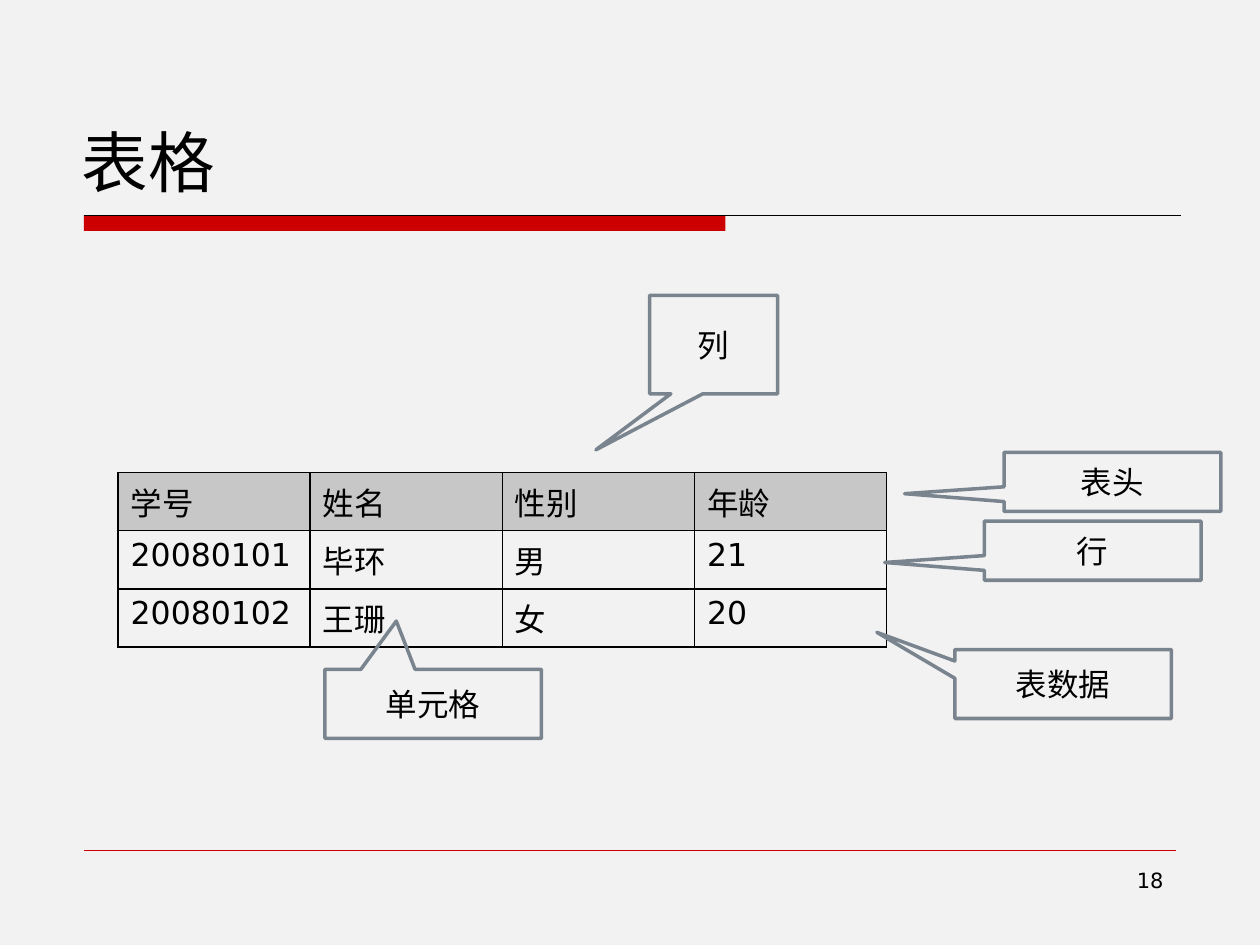
from typing import NamedTuple

from lxml import etree
from pptx import Presentation
from pptx.dml.color import RGBColor
from pptx.enum.shapes import MSO_CONNECTOR, MSO_SHAPE
from pptx.enum.text import MSO_ANCHOR, PP_ALIGN
from pptx.oxml.ns import qn
from pptx.util import Pt

LINE = MSO_CONNECTOR.STRAIGHT
RECT = MSO_SHAPE.RECTANGLE
CALLOUT = MSO_SHAPE.RECTANGULAR_CALLOUT
BOTTOM, MIDDLE = MSO_ANCHOR.BOTTOM, MSO_ANCHOR.MIDDLE
LEFT, CENTER, RIGHT = PP_ALIGN.LEFT, PP_ALIGN.CENTER, PP_ALIGN.RIGHT

FONT = "DejaVu Sans"
COLORS = {
    "background": "F2F2F2",
    "text": "000000",
    "accent": "CC0000",
    "header": "C7C7C7",
    "callout": "79848F",
}
MARGIN = 48
COLUMN_WIDTH, ROW_HEIGHT = 109.8, 29.3
ROWS = [
    ["学号", "姓名", "性别", "年龄"],
    ["20080101", "毕环", "男", "21"],
    ["20080102", "王珊", "女", "20"],
]


class Callout(NamedTuple):
    text: str
    left: float
    top: float
    width: float
    height: float
    tip_x: float
    tip_y: float


CALLOUTS = [
    Callout("表头", 573.8, 258.5, 123.8, 33.8, -0.96, 0.2),
    Callout("表数据", 545.6, 371.2, 123.8, 39.4, -0.86, -0.75),
    Callout("列", 371.2, 168.8, 73.1, 56.2, -0.92, 1.07),
    Callout("单元格", 185.6, 382.5, 123.8, 39.4, -0.17, -1.2),
    Callout("行", 562.5, 297.8, 123.8, 33.8, -0.96, 0.2),
]


def color(name: str) -> RGBColor:
    return RGBColor.from_string(COLORS[name])


def set_text(tf, text: str, size: float, align=LEFT) -> None:
    tf.text = text
    p = tf.paragraphs[0]
    p.alignment = align
    p.font.name = FONT
    p.font.size = Pt(size)
    p.font.color.rgb = color("text")


def add_rule(s, y: float, right: float, name: str, width: float) -> None:
    rule = s.shapes.add_connector(LINE, Pt(MARGIN), Pt(y), Pt(right), Pt(y))
    rule.line.color.rgb = color(name)
    rule.line.width = Pt(width)
    etree.SubElement(rule._element.spPr, qn("a:effectLst"))


def add_borders(cell) -> None:
    tcPr = cell._tc.get_or_add_tcPr()
    for i, side in enumerate(("a:lnL", "a:lnR", "a:lnT", "a:lnB")):
        ln = etree.Element(qn(side), w=str(Pt(1)))
        fill = etree.SubElement(ln, qn("a:solidFill"))
        etree.SubElement(fill, qn("a:srgbClr"), val=COLORS["text"])
        tcPr.insert(i, ln)


def add_student_table(s) -> None:
    n_rows, n_cols = len(ROWS), len(ROWS[0])
    table = s.shapes.add_table(
        n_rows, n_cols, Pt(67.5), Pt(270),
        Pt(COLUMN_WIDTH * n_cols), Pt(ROW_HEIGHT * n_rows),
    ).table
    for column in table.columns:
        column.width = Pt(COLUMN_WIDTH)
    for i, values in enumerate(ROWS):
        table.rows[i].height = Pt(ROW_HEIGHT)
        for j, value in enumerate(values):
            cell = table.cell(i, j)
            set_text(cell.text_frame, value, 18)
            if i == 0:
                cell.fill.solid()
                cell.fill.fore_color.rgb = color("header")
            else:
                cell.fill.background()
            add_borders(cell)


def add_callout(s, c: Callout) -> None:
    sp = s.shapes.add_shape(CALLOUT, Pt(c.left), Pt(c.top), Pt(c.width), Pt(c.height))
    sp.adjustments[0], sp.adjustments[1] = c.tip_x, c.tip_y
    sp.shadow.inherit = False
    sp.fill.background()
    sp.line.color.rgb = color("callout")
    sp.line.width = Pt(2)
    sp.text_frame.vertical_anchor = MIDDLE
    set_text(sp.text_frame, c.text, 18, CENTER)


def main() -> None:
    prs = Presentation()
    prs.slide_width, prs.slide_height = Pt(720), Pt(540)
    s = prs.slides.add_slide(prs.slide_layouts[5])
    s.background.fill.solid()
    s.background.fill.fore_color.rgb = color("background")

    title = s.shapes.title
    title.left, title.top, title.width, title.height = Pt(39.6), Pt(22.3), Pt(630), Pt(95.8)
    title.text_frame.vertical_anchor = BOTTOM
    set_text(title.text_frame, "表格", 38)

    bar = s.shapes.add_shape(RECT, Pt(MARGIN), Pt(123), Pt(366.5), Pt(9))
    bar.shadow.inherit = False
    bar.fill.solid()
    bar.fill.fore_color.rgb = color("accent")
    bar.line.fill.background()
    add_rule(s, 123, 674.8, "text", 0.5)
    add_rule(s, 486, 672, "accent", 0.25)

    add_student_table(s)

    number = s.shapes.add_textbox(Pt(516), Pt(492), Pt(156), Pt(37.5))
    number.text_frame.word_wrap = True
    set_text(number.text_frame, "18", 12, RIGHT)

    for c in CALLOUTS:
        add_callout(s, c)
    prs.save("out.pptx")


if __name__ == "__main__":
    main()
